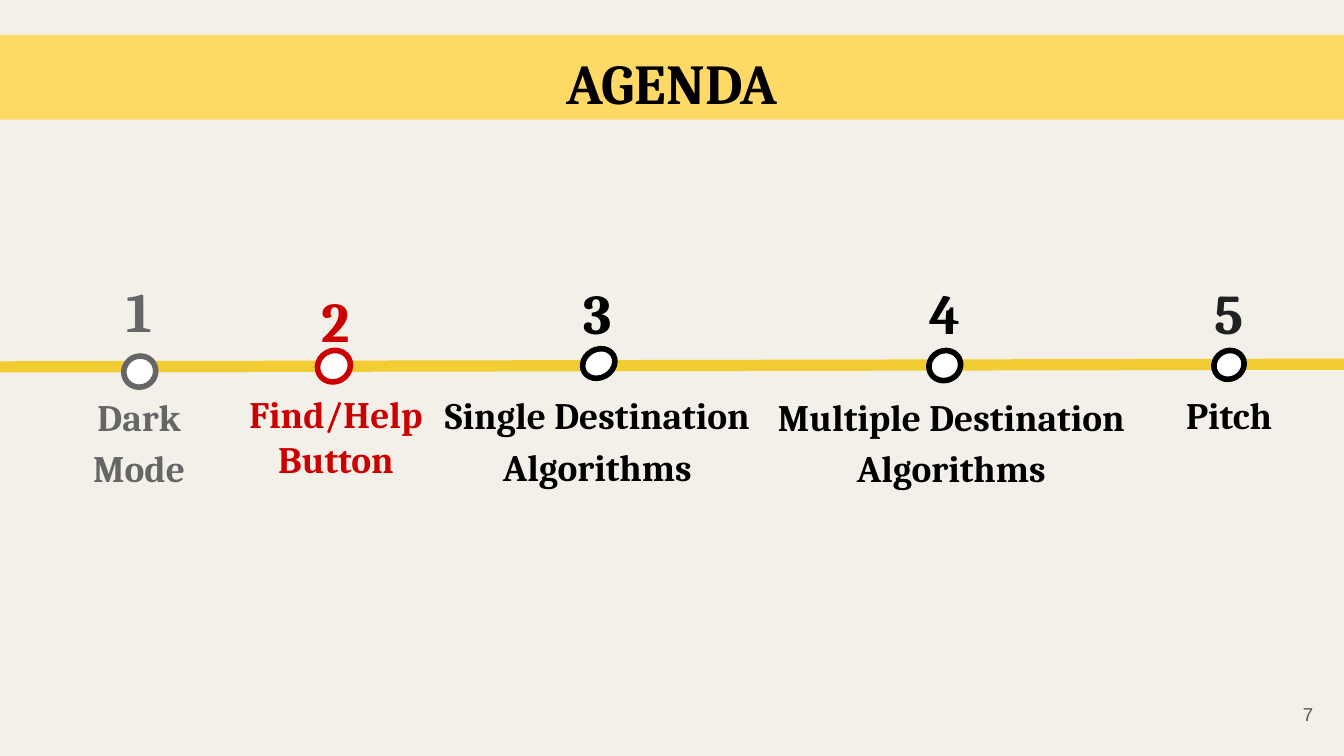
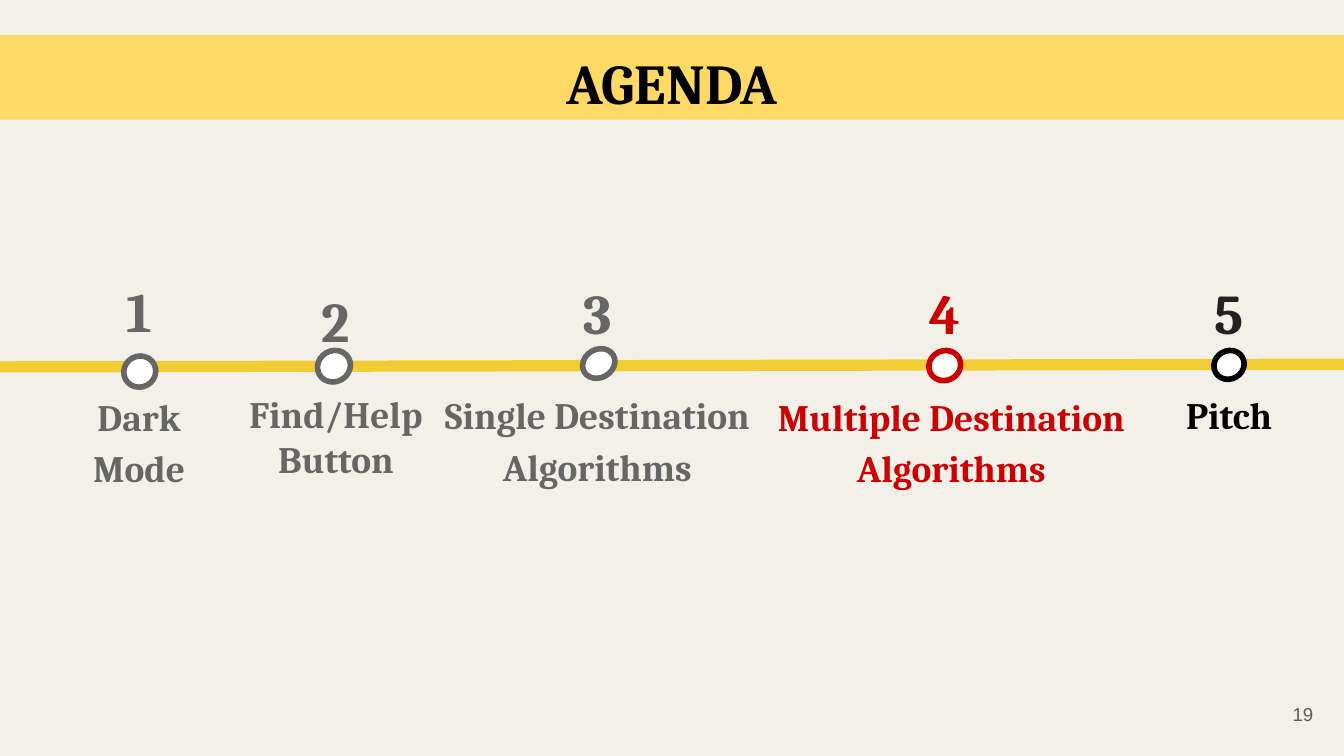
"""Build two agenda slides that show progress along a five-stop timeline."""
from dataclasses import dataclass
from typing import Any

from lxml.etree import SubElement
from pptx import Presentation
from pptx.dml.color import RGBColor as Rgb
from pptx.enum.shapes import MSO_CONNECTOR as Connector, MSO_SHAPE as Preset
from pptx.enum.text import MSO_ANCHOR as Anchor, MSO_AUTO_SIZE as AutoSize, PP_ALIGN as Align
from pptx.oxml.ns import qn
from pptx.util import Emu, Pt

PX = 4572
SLIDE_WIDTH, SLIDE_HEIGHT = 2000, 1125
INSET = 20

COLORS = {
    "paper": "F3F0E9",
    "band": "FFD966",
    "track": "F1CC32",
    "marker": "FFFFFF",
    "done": "666666",
    "current": "CC0000",
    "upcoming": "000000",
    "soft": "212121",
    "page": "595959",
}

FRAME = {
    "word_wrap": True,
    "auto_size": AutoSize.NONE,
    "vertical_anchor": Anchor.TOP,
    **{f"margin_{side}": Emu(INSET * PX) for side in ("left", "top", "right", "bottom")},
}
TITLE_FONT = {"name": "Cambria", "size": Pt(30.2), "bold": True}
NUMBER_FONT = {"name": "Cambria", "size": Pt(30), "bold": True}
CAPTION_FONT = {"name": "Cambria", "size": Pt(20), "bold": True}
PAGE_FONT = {"name": "Arial", "size": Pt(10), "bold": False}


@dataclass(frozen=True)
class Box:
    left: int
    top: int
    width: int
    height: int

    def emu(self) -> tuple[Emu, ...]:
        return tuple(Emu(n * PX) for n in (self.left, self.top, self.width, self.height))


@dataclass(frozen=True)
class Stop:
    caption: tuple[str, ...]
    number_box: Box
    marker_box: Box
    caption_box: Box
    tilt: float = 330.2
    number_spacing: float = 1.15
    caption_spacing: float = 1.15
    upcoming_number: str = "upcoming"


@dataclass(frozen=True)
class Agenda:
    page: str
    current: int


STOPS = (
    Stop(("Dark", "Mode"), Box(156, 392, 104, 142), Box(184, 530, 48, 46),
         Box(-88, 556, 590, 172), tilt=332.1, number_spacing=1.0),
    Stop(("Find/Help", "Button"), Box(248, 392, 502, 130), Box(472, 522, 50, 46),
         Box(252, 562, 496, 212), caption_spacing=1.0),
    Stop(("Single Destination Algorithms",), Box(782, 380, 216, 126), Box(866, 520, 50, 42),
         Box(638, 554, 502, 222)),
    Stop(("Multiple Destination", "Algorithms"), Box(1288, 380, 236, 126), Box(1382, 522, 48, 44),
         Box(1130, 556, 572, 238), tilt=333.8),
    Stop(("Pitch",), Box(1728, 380, 202, 126), Box(1806, 522, 46, 42),
         Box(1594, 554, 470, 222), upcoming_number="soft"),
)
AGENDAS = (Agenda("7", 2), Agenda("19", 4))
TITLE_BOX = Box(0, 52, SLIDE_WIDTH, 126)
PAGE_BOX = Box(1854, 1020, 120, 86)


def rgb(color: str) -> Rgb:
    return Rgb.from_string(COLORS[color])


def apply(target: Any, formats: dict[str, Any]) -> None:
    for name, value in formats.items():
        setattr(target, name, value)


def write(frame: Any, lines: tuple[str, ...], font: dict[str, Any], color: str,
          **paragraph_formats: Any) -> None:
    apply(frame, FRAME)
    for index, line in enumerate(lines):
        paragraph = frame.add_paragraph() if index else frame.paragraphs[0]
        apply(paragraph, {"alignment": Align.CENTER, **paragraph_formats})
        run = paragraph.add_run()
        run.text = line
        apply(run.font, font)
        run.font.color.rgb = rgb(color)


def draw_title(slide: Any) -> None:
    title = slide.shapes.title
    apply(title, dict(zip(("left", "top", "width", "height"), TITLE_BOX.emu())))
    title.fill.solid()
    title.fill.fore_color.rgb = rgb("band")
    write(title.text_frame, ("AGENDA",), TITLE_FONT, "upcoming")


def draw_track(slide: Any) -> None:
    ends = (Emu(n * PX) for n in (0, 546, SLIDE_WIDTH, 542))
    track = slide.shapes.add_connector(Connector.STRAIGHT, *ends)
    track.line.color.rgb = rgb("track")
    track.line.width = Pt(6)
    SubElement(track._element.spPr, qn("a:effectLst"))


def draw_stop(slide: Any, stop: Stop, number: int, current: int) -> None:
    state = "done" if number < current else "current" if number == current else "upcoming"
    number_color = stop.upcoming_number if state == "upcoming" else state
    shapes = slide.shapes.add_group_shape().shapes

    write(shapes.add_textbox(*stop.number_box.emu()).text_frame, (str(number),), NUMBER_FONT,
          number_color, line_spacing=stop.number_spacing)

    marker = shapes.add_shape(Preset.OVAL, *stop.marker_box.emu())
    marker.rotation = stop.tilt
    marker.shadow.inherit = False
    marker.fill.solid()
    marker.fill.fore_color.rgb = rgb("marker")
    marker.line.color.rgb = rgb(state)
    marker.line.width = Pt(3)

    write(shapes.add_textbox(*stop.caption_box.emu()).text_frame, stop.caption, CAPTION_FONT,
          state, line_spacing=stop.caption_spacing)


def draw_page(slide: Any, page: str) -> None:
    frame = slide.shapes.add_textbox(*PAGE_BOX.emu()).text_frame
    write(frame, (page,), PAGE_FONT, "page", alignment=Align.RIGHT)
    frame.vertical_anchor = Anchor.MIDDLE


def main() -> None:
    deck = Presentation()
    apply(deck, {"slide_width": Emu(SLIDE_WIDTH * PX), "slide_height": Emu(SLIDE_HEIGHT * PX)})
    title_only = deck.slide_layouts.get_by_name("Title Only")
    for agenda in AGENDAS:
        slide = deck.slides.add_slide(title_only)
        slide.background.fill.solid()
        slide.background.fill.fore_color.rgb = rgb("paper")
        draw_track(slide)
        draw_title(slide)
        for number, stop in enumerate(STOPS, start=1):
            draw_stop(slide, stop, number, agenda.current)
        draw_page(slide, agenda.page)
    deck.save("out.pptx")


if __name__ == "__main__":
    main()
